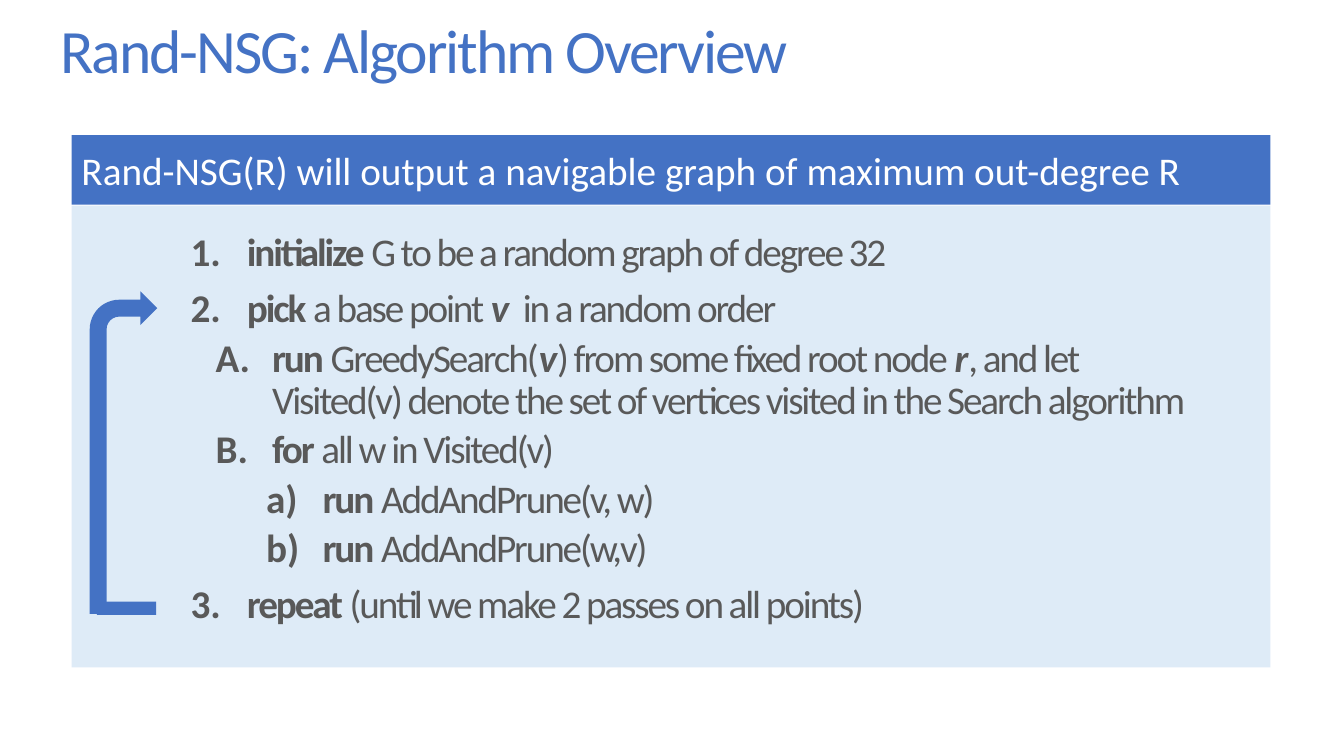
from pptx import Presentation
from pptx.dml.color import RGBColor
from pptx.enum.shapes import MSO_SHAPE
from pptx.enum.text import MSO_ANCHOR, PP_ALIGN
from pptx.oxml.ns import qn
from pptx.util import Inches, Pt
from lxml.etree import SubElement

# Content
TITLE = "Rand-NSG: Algorithm Overview"
HEAD = "Rand-NSG(R) will output a navigable graph of maximum out-degree R"
# Each step: level, then runs of (text, style), with b for bold and i for italic
STEPS = [
    (0, [("initialize", "b"), (" G to be a random graph of degree 32", "")]),
    (0, [("pick", "b"), (" a base point ", ""), ("v", "bi"),
         ("  in a random order", "")]),
    (1, [("run ", "b"), ("GreedySearch(", ""), ("v", "bi"),
         (") from some fixed root node ", ""), ("r", "bi"),
         (", and let Visited(v) denote the set of vertices visited "
          "in the Search algorithm", "")]),
    (1, [("for", "b"), (" all w in Visited(v)", "")]),
    (2, [("run ", "b"), ("AddAndPrune(v, w)", "")]),
    (2, [("run ", "b"), ("AddAndPrune(w,v)", "")]),
    (0, [("repeat", "b"), (" (until we make 2 passes on all points)", "")]),
]
# Each level: indent in inches, numbering scheme, space before in points
LEVELS = [(0.56, "arabicPeriod", 10), (0.81, "alphaUcPeriod", 5),
          (1.31, "alphaLcParenR", 5)]
HANG = 0.56
BLUE, PALE, GRAY, WHITE = "4472C4", "DEEBF7", "595959", "FFFFFF"
LEFT, WIDE = 0.71, 11.89


def paint(hue):
    return RGBColor.from_string(hue)


def write(para, text, size=28, color=GRAY, style="", track=0):
    run = para.add_run()
    run.text = text
    font = run.font
    font.name, font.size = "Calibri", Pt(size)
    font.bold, font.italic = "b" in style, "i" in style
    font.color.rgb = paint(color)
    if track:
        run._r.get_or_add_rPr().set("spc", str(int(track * 100)))


def draw(kind, box, hue):
    shape = slide.shapes.add_shape(kind, *map(Inches, box))
    shape.shadow.inherit = False
    shape.fill.solid()
    shape.fill.fore_color.rgb = paint(hue)
    shape.line.fill.background()
    return shape


def number(para, level):
    indent, scheme, _ = LEVELS[level]
    para.level = level
    props = para._p.get_or_add_pPr()
    props.set("marL", str(Inches(indent)))
    props.set("indent", str(-Inches(HANG)))
    SubElement(props, qn("a:buFont")).set("typeface", "+mj-lt")
    SubElement(props, qn("a:buAutoNum")).set("type", scheme)


deck = Presentation()
deck.slide_width, deck.slide_height = Inches(13.33), Inches(7.5)
slide = deck.slides.add_slide(deck.slide_layouts[5])

# Title
title = slide.shapes.title
title.left, title.top = Inches(0), Inches(0)
title.width, title.height = Inches(13.33), Inches(1.07)
frame = title.text_frame
frame.margin_left = Inches(0.6)
frame.vertical_anchor = MSO_ANCHOR.MIDDLE
para = frame.paragraphs[0]
para.alignment, para.line_spacing = PP_ALIGN.LEFT, 0.9
write(para, TITLE, size=44, color=BLUE, track=-1.5)

# Panel and its header
draw(MSO_SHAPE.RECTANGLE, (LEFT, 2.04, WIDE, 4.58), PALE)
head = draw(MSO_SHAPE.RECTANGLE, (LEFT, 1.34, WIDE, 0.69), BLUE)
head.text_frame.vertical_anchor = MSO_ANCHOR.MIDDLE
para = head.text_frame.paragraphs[0]
para.alignment = PP_ALIGN.LEFT
write(para, HEAD, color=WHITE)

# Numbered steps
body = slide.shapes.add_textbox(*map(Inches, (1.39, 2.26, 10.5, 4.3)))
frame = body.text_frame
frame.word_wrap = True
frame.margin_left = Inches(0.5)
for i, (level, runs) in enumerate(STEPS):
    para = frame.add_paragraph() if i else frame.paragraphs[0]
    number(para, level)
    para.line_spacing = 0.9
    para.space_before = Pt(LEVELS[level][2] if i else 0)
    for text, style in runs:
        write(para, text, style=style, track=-1.5)

# Loop arrow from step 3 back to step 2
draw(MSO_SHAPE.BENT_ARROW, (0.89, 2.89, 0.67, 3.2), BLUE)
draw(MSO_SHAPE.RECTANGLE, (0.96, 5.97, 0.59, 0.13), BLUE)

deck.save("out.pptx")
